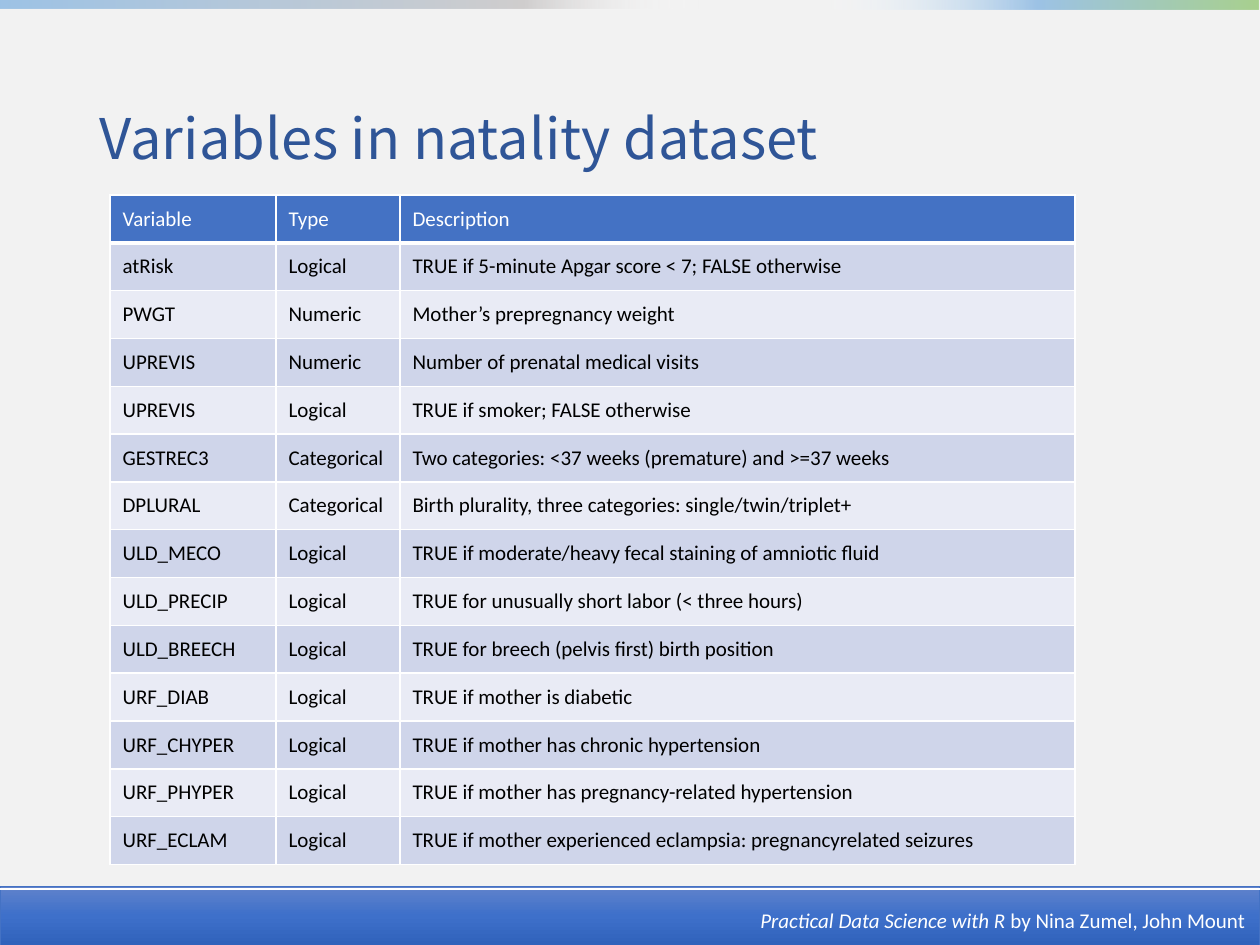
from dataclasses import dataclass

from lxml.etree import SubElement
from pptx import Presentation
from pptx.dml.color import RGBColor
from pptx.enum.shapes import MSO_CONNECTOR as Connector, MSO_SHAPE as Shape
from pptx.enum.text import MSO_ANCHOR as Anchor
from pptx.oxml.ns import qn
from pptx.util import Pt

# Content
TITLE = "Variables in natality dataset"
HEADER = ("Variable", "Type", "Description")
VARIABLES = [
    ("atRisk", "Logical", "TRUE if 5-minute Apgar score < 7; FALSE otherwise"),
    ("PWGT", "Numeric", "Mother’s prepregnancy weight"),
    ("UPREVIS", "Numeric", "Number of prenatal medical visits"),
    ("UPREVIS", "Logical", "TRUE if smoker; FALSE otherwise"),
    ("GESTREC3", "Categorical", "Two categories: <37 weeks (premature) and >=37 weeks"),
    ("DPLURAL", "Categorical", "Birth plurality, three categories: single/twin/triplet+"),
    ("ULD_MECO", "Logical", "TRUE if moderate/heavy fecal staining of amniotic fluid"),
    ("ULD_PRECIP", "Logical", "TRUE for unusually short labor (< three hours)"),
    ("ULD_BREECH", "Logical", "TRUE for breech (pelvis first) birth position"),
    ("URF_DIAB", "Logical", "TRUE if mother is diabetic"),
    ("URF_CHYPER", "Logical", "TRUE if mother has chronic hypertension"),
    ("URF_PHYPER", "Logical", "TRUE if mother has pregnancy-related hypertension"),
    ("URF_ECLAM", "Logical", "TRUE if mother experienced eclampsia: pregnancyrelated seizures"),
]
BOOK, AUTHORS = "Practical Data Science with R", " by Nina Zumel, John Mount"


@dataclass(frozen=True)
class Theme:
    background: str = "F2F2F2"
    title: str = "2F5597"
    accent: str = "4472C4"
    white: str = "FFFFFF"
    text: str = "000000"
    bands: tuple = ("CFD5EA", "E9EBF5")
    # Gradient stops: position in percent, colour, opacity in percent
    footer: tuple = ((0, "6183CB", 100), (50, "3E70CA", 100), (100, "3062BB", 100))
    left_strip: tuple = ((0, "9DC3E6", 100), (75, "D0CECE", 100), (100, "FFFFFF", 0))
    right_strip: tuple = ((0, "FFFFFF", 0), (50, "9DC3E6", 100), (100, "A9D18E", 100))
    title_font: str = "Noto Sans CJK TC"
    body_font: str = "Calibri"
    title_size: int = 32
    body_size: int = 12


THEME = Theme()

# Layout in px
SCALE = 914400 / 126
SLIDE = (1260, 945)
TITLE_BOX = (87, 50, 1086, 183)
TABLE_LEFT, TABLE_TOP, TABLE_HEIGHT = 110, 195, 670
COLUMNS = (166, 124, 675)
FOOTER_BOX = (0, 886, 1260, 59)
FOOTER_RULE_Y = 889
CREDIT_BOX = (748, 901, 523, 38)
STRIPS = [((-3, -6, 701, 15), THEME.left_strip), ((817, 0, 442, 10), THEME.right_strip)]


def px(*lengths):
    return [round(length * SCALE) for length in lengths]


def color(value):
    return RGBColor.from_string(value)


def add_text(paragraph, text, font=THEME.body_font, size=THEME.body_size,
             fill=THEME.text, italic=False, bold=False):
    run = paragraph.add_run()
    run.text = text
    run.font.name, run.font.size = font, Pt(size)
    run.font.italic, run.font.bold = italic, bold
    run.font.color.rgb = color(fill)


def add_gradient_bar(slide, box, stops, angle=0):
    shape = slide.shapes.add_shape(Shape.RECTANGLE, *px(*box))
    shape.shadow.inherit = False
    shape.line.fill.background()
    shape.fill.gradient()
    gradient = shape.element.spPr.find(qn("a:gradFill"))
    for child in list(gradient):
        gradient.remove(child)
    stop_list = SubElement(gradient, qn("a:gsLst"))
    for position, value, opacity in stops:
        stop = SubElement(stop_list, qn("a:gs"), pos=str(position * 1000))
        tint = SubElement(stop, qn("a:srgbClr"), val=value)
        if opacity < 100:
            SubElement(tint, qn("a:alpha"), val=str(opacity * 1000))
    SubElement(gradient, qn("a:lin"), ang=str(angle * 60000), scaled="0")
    return shape


def set_borders(cell, **widths):
    properties = cell._tc.get_or_add_tcPr()
    for side in "LRTB":
        line = SubElement(properties, qn(f"a:ln{side}"), w=str(Pt(widths.get(side, 1))))
        fill = SubElement(line, qn("a:solidFill"))
        SubElement(fill, qn("a:srgbClr"), val=THEME.white)


def add_variable_table(slide):
    rows = [HEADER, *VARIABLES]
    frame = slide.shapes.add_table(
        len(rows), len(COLUMNS), *px(TABLE_LEFT, TABLE_TOP, sum(COLUMNS), TABLE_HEIGHT))
    table = frame.table
    for column, width in zip(table.columns, px(*COLUMNS)):
        column.width = width
    for index, values in enumerate(rows):
        table.rows[index].height = px(TABLE_HEIGHT / len(rows))[0]
        is_header = index == 0
        band = THEME.accent if is_header else THEME.bands[(index - 1) % 2]
        for cell, value in zip(table.rows[index].cells, values):
            set_borders(cell, B=3 if is_header else 1, T=3 if index == 1 else 1)
            cell.fill.solid()
            cell.fill.fore_color.rgb = color(band)
            cell.vertical_anchor = Anchor.MIDDLE
            add_text(cell.text_frame.paragraphs[0], value,
                     fill=THEME.white if is_header else THEME.text)


def add_footer(slide):
    bar = add_gradient_bar(slide, FOOTER_BOX, THEME.footer, angle=90)
    bar.line.color.rgb = color(THEME.accent)
    bar.line.width = Pt(0.5)
    rule = slide.shapes.add_connector(
        Connector.STRAIGHT, *px(0, FOOTER_RULE_Y, SLIDE[0], FOOTER_RULE_Y))
    rule.line.color.rgb = color(THEME.white)
    rule.line.width = Pt(1.5)
    SubElement(rule.element.spPr, qn("a:effectLst"))


def add_credit(slide):
    frame = slide.shapes.add_textbox(*px(*CREDIT_BOX)).text_frame
    frame.word_wrap = True
    paragraph = frame.paragraphs[0]
    add_text(paragraph, BOOK, fill=THEME.white, italic=True)
    add_text(paragraph, AUTHORS, fill=THEME.white)


def main():
    presentation = Presentation()
    presentation.slide_width, presentation.slide_height = px(*SLIDE)
    slide = presentation.slides.add_slide(presentation.slide_layouts[5])
    slide.background.fill.solid()
    slide.background.fill.fore_color.rgb = color(THEME.background)

    # Footer bar and top strips
    add_footer(slide)
    for box, stops in STRIPS:
        add_gradient_bar(slide, box, stops)

    # Title
    title = slide.shapes.title
    title.left, title.top, title.width, title.height = px(*TITLE_BOX)
    title.text_frame.vertical_anchor = Anchor.MIDDLE
    paragraph = title.text_frame.paragraphs[0]
    paragraph.alignment = 1  # left
    paragraph.line_spacing = 0.9
    add_text(paragraph, TITLE, font=THEME.title_font, size=THEME.title_size, fill=THEME.title)

    # Table and credit line
    add_variable_table(slide)
    add_credit(slide)
    presentation.save("out.pptx")


if __name__ == "__main__":
    main()
